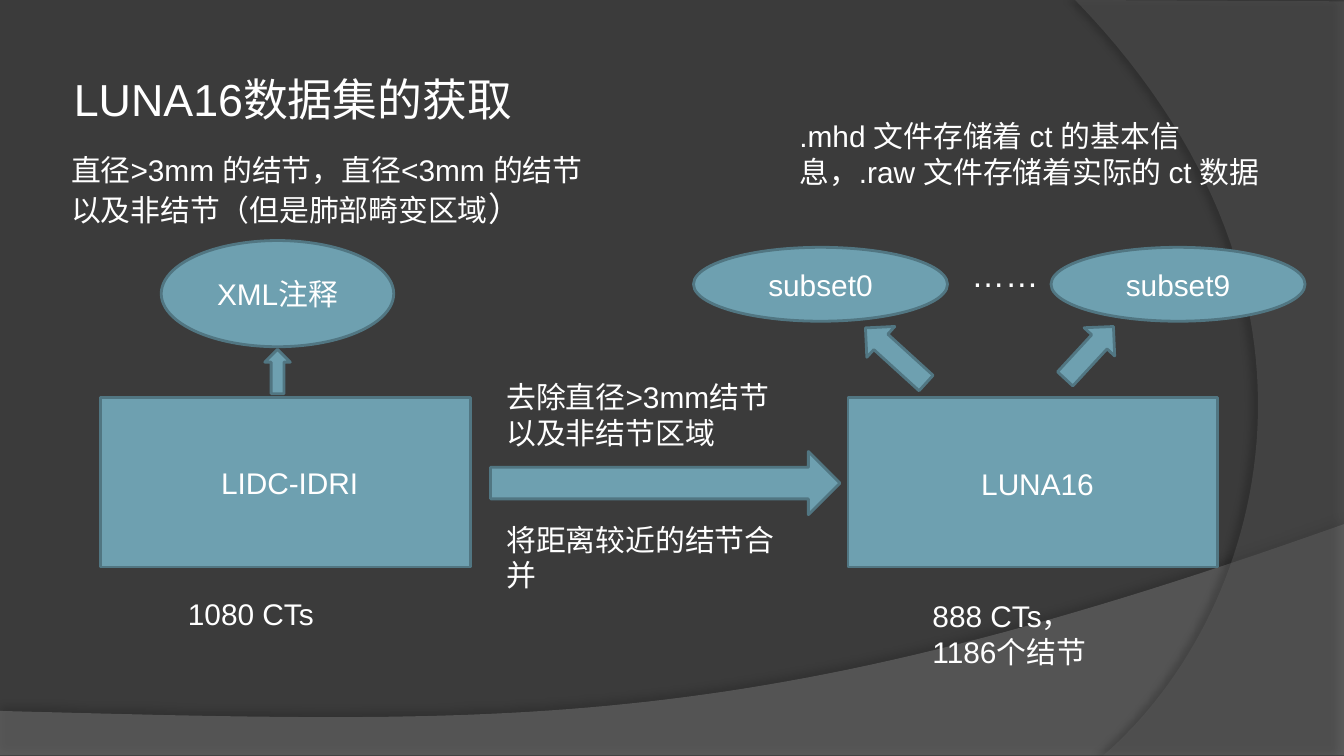
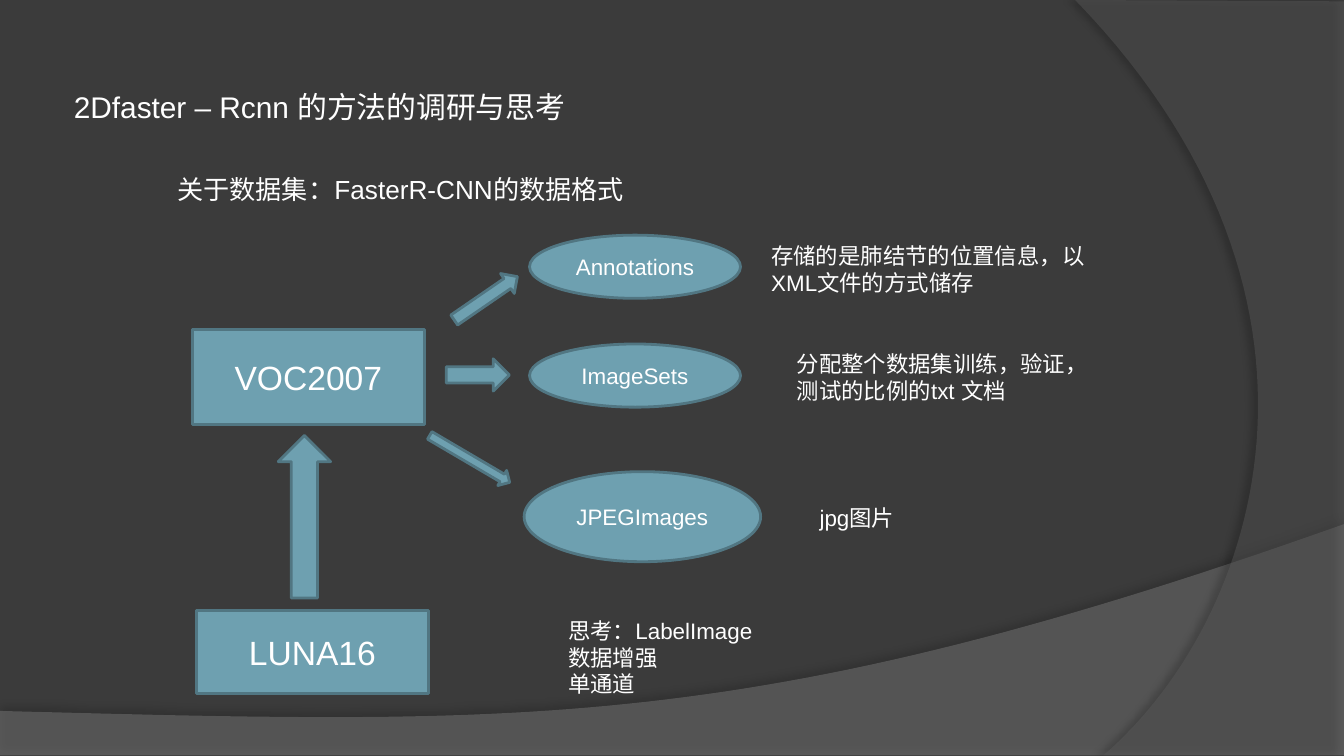
from dataclasses import dataclass

from lxml import etree
from pptx import Presentation
from pptx.dml.color import RGBColor
from pptx.enum import shapes, text
from pptx.oxml.ns import qn
from pptx.util import Inches, Pt


@dataclass(frozen=True)
class Theme:
    """Colours, font and type sizes shared by the slides."""
    back: str = "3B3B3B"
    fill: str = "6EA0B0"
    line: str = "517682"
    ink: str = "FFFFFF"
    font: str = "Arial"
    title: int = 24
    large: int = 18
    body: int = 16
    sub: int = 14
    small: int = 12


T = Theme()
rgb = RGBColor.from_string
RECT, OVAL = shapes.MSO_SHAPE.RECTANGLE, shapes.MSO_SHAPE.OVAL
UP, RIGHT = shapes.MSO_SHAPE.UP_ARROW, shapes.MSO_SHAPE.RIGHT_ARROW


def write(sp, lines, size, **frame):
    """Fill a shape with paragraphs; a paragraph is a string or (text, size) runs."""
    tf = sp.text_frame
    tf.word_wrap = True
    for name, value in frame.items():
        setattr(tf, name, value)
    for i, line in enumerate(lines):
        p = tf.paragraphs[0] if i == 0 else tf.add_paragraph()
        if sp.shape_type == shapes.MSO_SHAPE_TYPE.AUTO_SHAPE:
            p.alignment = text.PP_ALIGN.CENTER
        for words, points in [(line, size)] if isinstance(line, str) else line:
            r = p.add_run()
            r.text = words
            for name, value in {"name": T.font, "size": Pt(points)}.items():
                setattr(r.font, name, value)
            r.font.color.rgb = rgb(T.ink)


def add_band(s, start, corners, curve, colour, alpha, shadow):
    """Draw a translucent band: straight corners, then one Bezier curve."""
    steps = 60
    points = list(corners)
    for i in range(1, steps + 1):
        t = i / steps
        weights = ((1 - t) ** 3, 3 * t * (1 - t) ** 2, 3 * t * t * (1 - t), t ** 3)
        points.append(tuple(sum(w * c[axis] for w, c in zip(weights, curve))
                            for axis in (0, 1)))
    fb = s.shapes.build_freeform(Inches(start[0]), Inches(start[1]), scale=1.0)
    fb.add_line_segments([(Inches(x), Inches(y)) for x, y in points], close=True)
    sp = fb.convert_to_shape()
    sp.fill.solid()
    sp.fill.fore_color.rgb = rgb(colour)
    sp.line.fill.background()
    sp.shadow.inherit = False
    props = sp.fill._xPr
    clr = props.find(qn("a:solidFill")).find(qn("a:srgbClr"))
    etree.SubElement(clr, qn("a:alpha"), val=str(alpha * 1000))
    opacity, blur, dist, angle = shadow
    outer = etree.SubElement(props.find(qn("a:effectLst")), qn("a:outerShdw"),
                             blurRad=str(Pt(blur)), dist=str(Pt(dist)),
                             dir=str(angle * 60000), algn="ctr", rotWithShape="0")
    shade = etree.SubElement(outer, qn("a:srgbClr"), val="000000")
    etree.SubElement(shade, qn("a:alpha"), val=str(opacity * 1000))


prs = Presentation()
prs.slide_width, prs.slide_height = Inches(10), Inches(5.625)
background = prs.slide_master.background.fill
background.solid()
background.fore_color.rgb = rgb(T.back)

# Each band: start, corners, curve control points, colour, alpha, shadow
bands = [
    ((0, 5.29), [(0, 5.62), (10, 5.62), (10, 3.9)],
     [(10, 3.9), (5.59, 5.47), (3.91, 5.39), (0, 5.29)],
     "7F7F7F", 45, (35, 4, 3.5, 270)),
    ((10, 0.01), [(10, 5.62), (8.21, 5.62)],
     [(8.21, 5.62), (9.35, 4.64), (10.18, 2.25), (8, 0)],
     "5E5E5E", 40, (45, 4, 4, 180)),
]

# Diagram entries: preset, left, top, width, height, rotation, label, size
# Note entries: left, top, width, height, paragraphs, size
slides = [
    {
        "title": ("LUNA16数据集的获取", T.title, 5.6),
        "diagram": [
            (RECT, 0.75, 2.96, 2.75, 1.26, 0, " LIDC-IDRI", T.body),
            (RECT, 6.31, 2.96, 2.75, 1.26, 0, [(" ", T.large), ("LUNA16", T.body)], T.body),
            (OVAL, 1.2, 1.79, 1.73, 0.79, 0, "XML注释", T.body),
            (OVAL, 5.16, 1.84, 1.89, 0.55, 0, "subset0", T.body),
            (OVAL, 7.82, 1.84, 1.89, 0.55, 0, "subset9", T.body),
            (UP, 1.97, 2.6, 0.19, 0.33, 0, "", T.body),
            (RIGHT, 3.65, 3.36, 2.6, 0.47, 0, "", T.body),
            (UP, 6.51, 2.34, 0.31, 0.61, 312.3, "", T.body),
            (UP, 7.95, 2.36, 0.31, 0.53, 42.7, "", T.body),
        ],
        "notes": [
            (0.43, 1.08, 4.72, 0.67,
             ["直径>3mm 的结节，直径<3mm 的结节",
              [("以及非结节（但是肺部畸变区域", T.body), ("）", T.large)]], T.body),
            (5.85, 0.83, 3.83, 0.64,
             [".mhd 文件存储着 ct 的基本信息，.raw 文件存储着实际的 ct 数据"], T.body),
            (3.67, 2.77, 2.28, 0.64, ["去除直径>3mm结节以及非结节区域"], T.body),
            (3.67, 3.83, 2.28, 0.64, ["将距离较近的结节合并"], T.body),
            (1.3, 4.38, 1.5, 0.37, ["1080 CTs"], T.body),
            (6.84, 4.4, 1.5, 0.64, ["888 CTs，1186个结节"], T.body),
            (7.13, 1.84, 1.21, 0.4, ["……"], T.large),
        ],
    },
    {
        "title": ("2Dfaster – Rcnn 的方法的调研与思考", T.body, 5.21),
        "diagram": [
            (RECT, 1.43, 2.45, 1.73, 0.71, 0, "VOC2007", T.large),
            (RECT, 1.46, 4.54, 1.73, 0.62, 0, "LUNA16", T.large),
            (OVAL, 3.94, 1.75, 1.57, 0.47, 0, "Annotations", T.small),
            (OVAL, 3.94, 2.56, 1.57, 0.47, 0, "ImageSets", T.small),
            (OVAL, 3.9, 3.51, 1.76, 0.67, 0, "JPEGImages", T.small),
            (RIGHT, 3.33, 2.13, 0.57, 0.18, 325.5, "", T.small),
            (RIGHT, 3.32, 2.67, 0.47, 0.24, 0, "", T.small),
            (RIGHT, 3.15, 3.35, 0.69, 0.13, 30.4, "", T.small),
            (UP, 2.07, 3.24, 0.39, 1.21, 0, "", T.small),
        ],
        "notes": [
            (1.22, 1.24, 5.43, 0.34, ["关于数据集：FasterR-CNN的数据格式"], T.sub),
            (5.64, 1.75, 2.76, 0.5, ["存储的是肺结节的位置信息，以XML文件的方式储存"], T.small),
            (5.83, 2.56, 2.36, 0.5, ["分配整个数据集训练，验证，测试的比例的txt 文档"], T.small),
            (6, 3.7, 1.5, 0.3, ["jpg图片"], T.small),
            (4.13, 4.54, 3.07, 0.71, ["思考：LabelImage", "数据增强", "单通道"], T.small),
        ],
    },
]

for content in slides:
    s = prs.slides.add_slide(prs.slide_layouts[6])
    for band in bands:
        add_band(s, *band)

    words, size, width = content["title"]
    sp = s.shapes.add_textbox(Inches(0.5), Inches(0.18), Inches(width), Inches(0.75))
    write(sp, [words], size, vertical_anchor=text.MSO_ANCHOR.BOTTOM,
          margin_left=Inches(0.05), margin_right=Inches(0.05),
          margin_top=0, margin_bottom=0)

    for preset, x, y, w, h, turn, label, size in content["diagram"]:
        sp = s.shapes.add_shape(preset, Inches(x), Inches(y), Inches(w), Inches(h))
        sp.rotation = turn
        sp.shadow.inherit = False
        sp.fill.solid()
        sp.fill.fore_color.rgb = rgb(T.fill)
        sp.line.color.rgb = rgb(T.line)
        sp.line.width = Pt(1.5)
        if label:
            write(sp, [label], size, vertical_anchor=text.MSO_ANCHOR.MIDDLE)

    for x, y, w, h, lines, size in content["notes"]:
        sp = s.shapes.add_textbox(Inches(x), Inches(y), Inches(w), Inches(h))
        write(sp, lines, size, auto_size=text.MSO_AUTO_SIZE.SHAPE_TO_FIT_TEXT)

prs.save("out.pptx")
